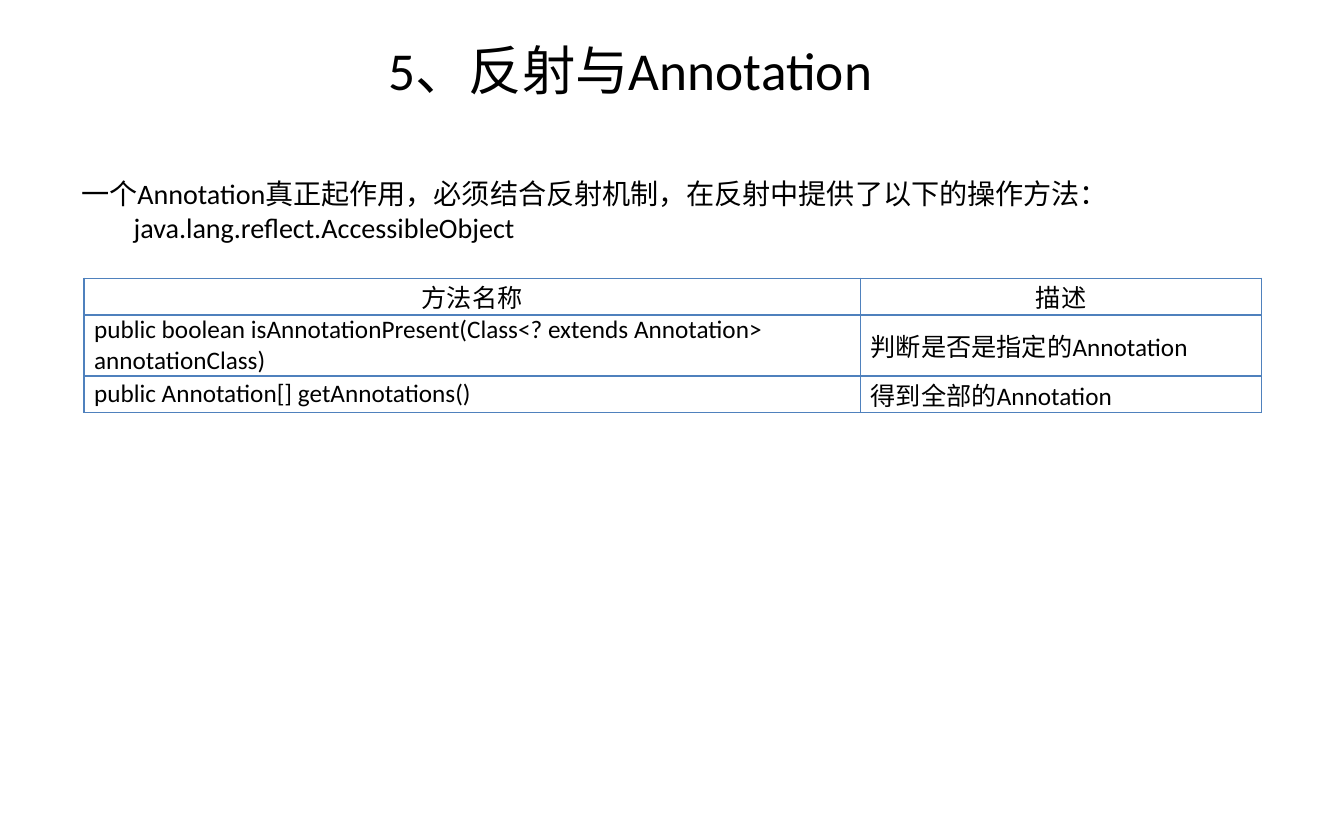
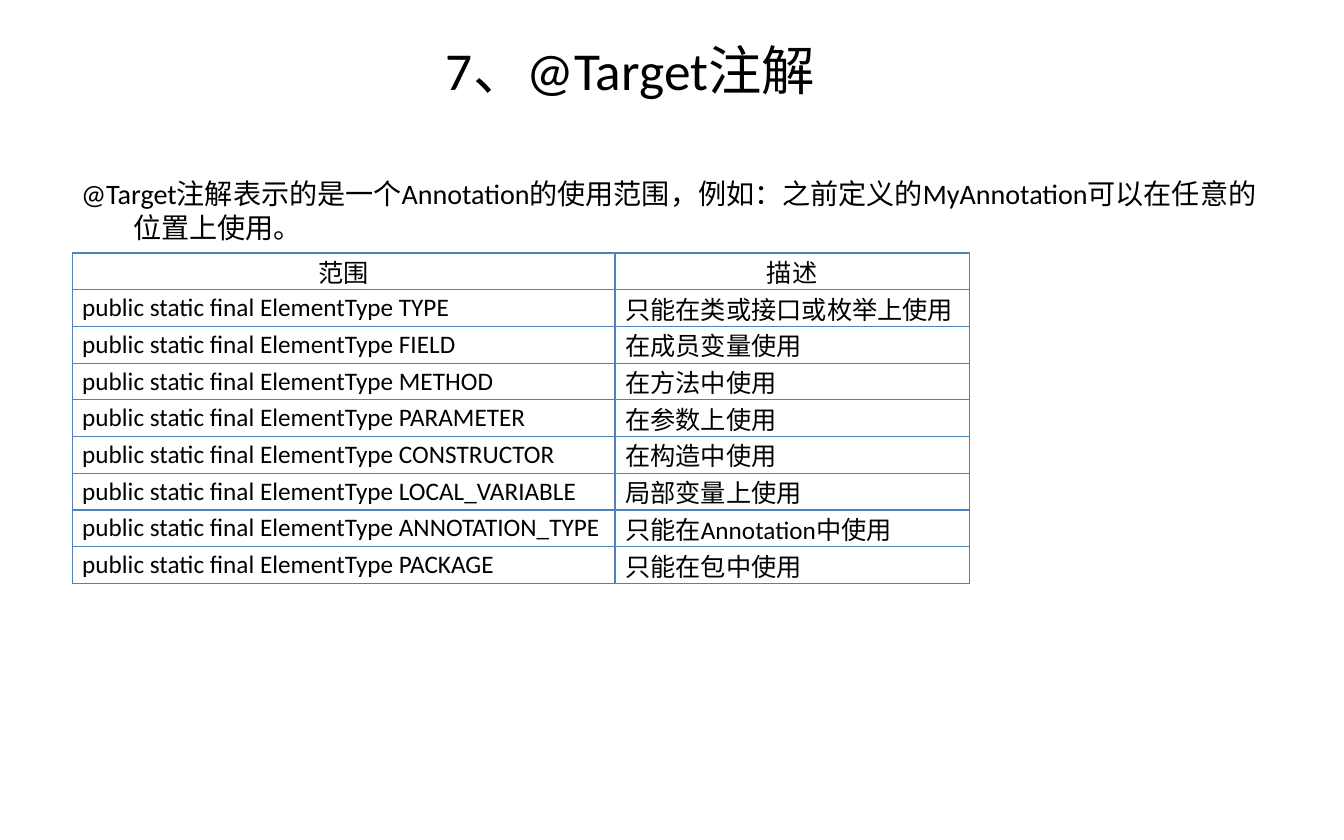
from lxml import etree
from pptx import Presentation
from pptx.dml.color import RGBColor
from pptx.enum.text import MSO_ANCHOR, PP_ALIGN
from pptx.oxml.ns import qn
from pptx.util import Cm, Pt

LEFT, MID, JUST = PP_ALIGN.LEFT, PP_ALIGN.CENTER, PP_ALIGN.JUSTIFY
TOP, CENTER = MSO_ANCHOR.TOP, MSO_ANCHOR.MIDDLE
WIDE, HIGH = Cm(32), Cm(20)
HUES = {"text": "000000", "rule": "4F81BD"}
FONT = "Calibri"
TITLE = (12.54, 4.06, 68.73, 8.38)
BODY = (5, 20.18, 90, 67.39)
ROW, TALL = 4.37, 7.27
KIND = "public static final ElementType "

PAGES = [
    {
        "title": "5、反射与Annotation",
        "body": "一个Annotation真正起作用，必须结合反射机制，在反射中提供了以下的操作方法："
                "java.lang.reflect.AccessibleObject",
        "spot": (6.25, 33.12, 87.62),
        "split": 65.94,
        "tall": {1},
        "rows": [
            ("方法名称", "描述"),
            ("public boolean isAnnotationPresent(Class<? extends Annotation> annotationClass)",
             "判断是否是指定的Annotation"),
            ("public Annotation[] getAnnotations()", "得到全部的Annotation"),
        ],
    },
    {
        "title": "7、@Target注解",
        "body": "@Target注解表示的是一个Annotation的使用范围，例如：之前定义的MyAnnotation"
                "可以在任意的位置上使用。",
        "spot": (5.37, 30.12, 66.75),
        "split": 60.52,
        "tall": set(),
        "rows": [
            ("范围", "描述"),
            (KIND + "TYPE", "只能在类或接口或枚举上使用"),
            (KIND + "FIELD", "在成员变量使用"),
            (KIND + "METHOD", "在方法中使用"),
            (KIND + "PARAMETER", "在参数上使用"),
            (KIND + "CONSTRUCTOR", "在构造中使用"),
            (KIND + "LOCAL_VARIABLE", "局部变量上使用"),
            (KIND + "ANNOTATION_TYPE", "只能在Annotation中使用"),
            (KIND + "PACKAGE", "只能在包中使用"),
        ],
    },
]


def across(share):
    """Turn a percentage of the slide's width into a length."""
    return round(WIDE * share / 100)


def down(share):
    """Turn a percentage of the slide's height into a length."""
    return round(HIGH * share / 100)


def write(frame, text, size, align):
    """Fill a text frame with one styled paragraph and return it."""
    frame.text = text
    para = frame.paragraphs[0]
    para.alignment = align
    for run in para.runs:
        run.font.name = FONT
        run.font.size = Pt(size)
        run.font.color.rgb = RGBColor.from_string(HUES["text"])
    return para


def add_text(slide, box, text, size, align, anchor):
    """Place a wrapped text box and return its paragraph."""
    x, y, w, h = box
    frame = slide.shapes.add_textbox(across(x), down(y), across(w), down(h)).text_frame
    frame.word_wrap = True
    frame.vertical_anchor = anchor
    frame.margin_left = frame.margin_right = across(1.04)
    frame.margin_top = frame.margin_bottom = down(0.85)
    return write(frame, text, size, align)


def add_body(slide, box, text):
    """Place the body text with a hanging indent."""
    para = add_text(slide, box, text, 19, LEFT, TOP)
    para.space_before = Pt(4)
    props = para._p.get_or_add_pPr()
    hang = across(3.9)
    props.set("marL", str(hang))
    props.set("indent", str(-hang))


def frame_cell(cell):
    """Draw a thin rule on each side of a cell and clear its fill."""
    props = cell._tc.get_or_add_tcPr()
    for side in ("lnL", "lnR", "lnT", "lnB"):
        line = etree.SubElement(props, qn("a:" + side), w=str(Pt(1)))
        fill = etree.SubElement(line, qn("a:solidFill"))
        etree.SubElement(fill, qn("a:srgbClr"), val=HUES["rule"])
    cell.fill.background()


def add_grid(slide, spot, split, tall, rows):
    """Place a two-column table, with more height for the tall rows."""
    x, y, w = spot
    sizes = [TALL if i in tall else ROW for i in range(len(rows))]
    table = slide.shapes.add_table(len(rows), 2, across(x), down(y), across(w),
                                   down(sum(sizes))).table
    table.first_row = table.horz_banding = False
    for col, share in zip(table.columns, (split, 100 - split)):
        col.width = across(w * share / 100)
    for i, texts in enumerate(rows):
        table.rows[i].height = down(sizes[i])
        for j, text in enumerate(texts):
            cell = table.cell(i, j)
            cell.margin_left = cell.margin_right = across(0.75)
            cell.margin_top = cell.margin_bottom = 0
            cell.vertical_anchor = CENTER
            write(cell.text_frame, text, 17, (LEFT, JUST)[j] if i else MID)
            frame_cell(cell)


def add_page(deck, page):
    """Build one slide with a title, a body text and a table."""
    slide = deck.slides.add_slide(deck.slide_layouts[6])
    add_text(slide, TITLE, page["title"], 36, MID, CENTER)
    add_body(slide, BODY, page["body"])
    add_grid(slide, page["spot"], page["split"], page["tall"], page["rows"])


def main():
    """Build and save the deck."""
    deck = Presentation()
    deck.slide_width, deck.slide_height = WIDE, HIGH
    for page in PAGES:
        add_page(deck, page)
    deck.save("out.pptx")


if __name__ == "__main__":
    main()
